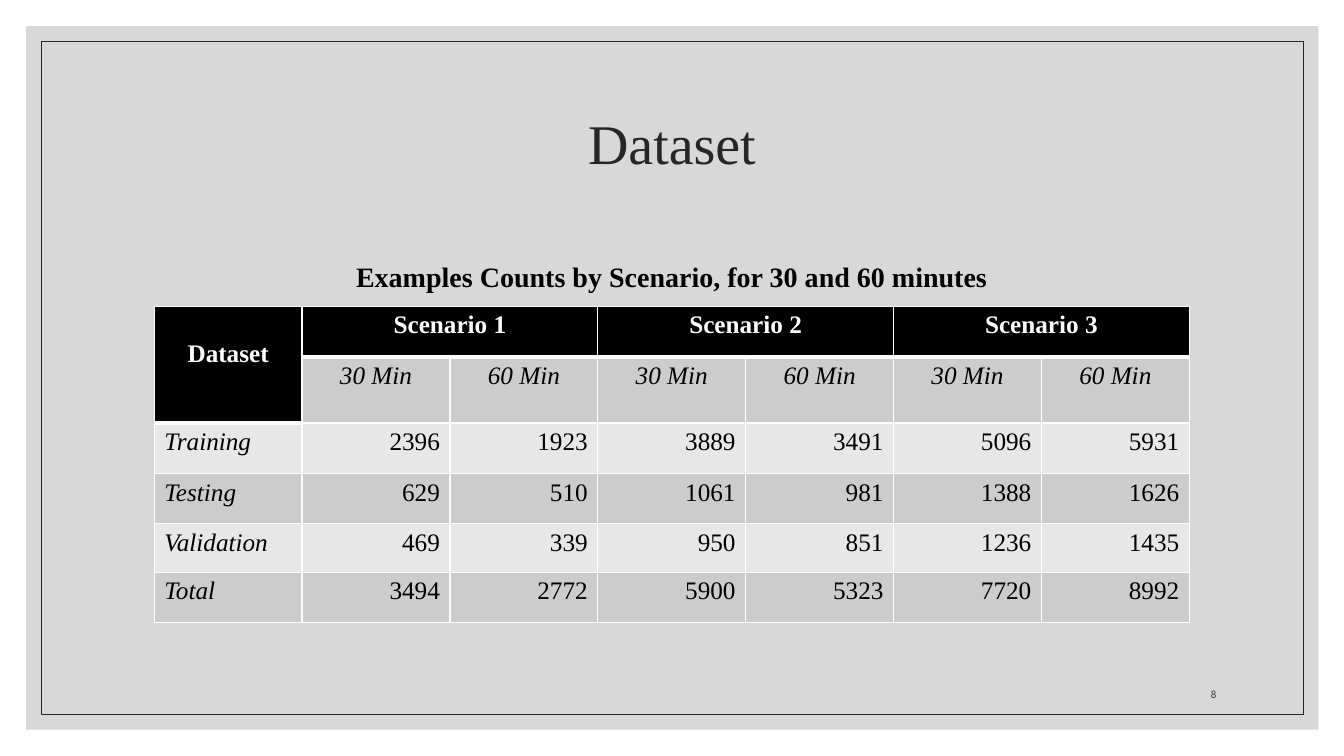
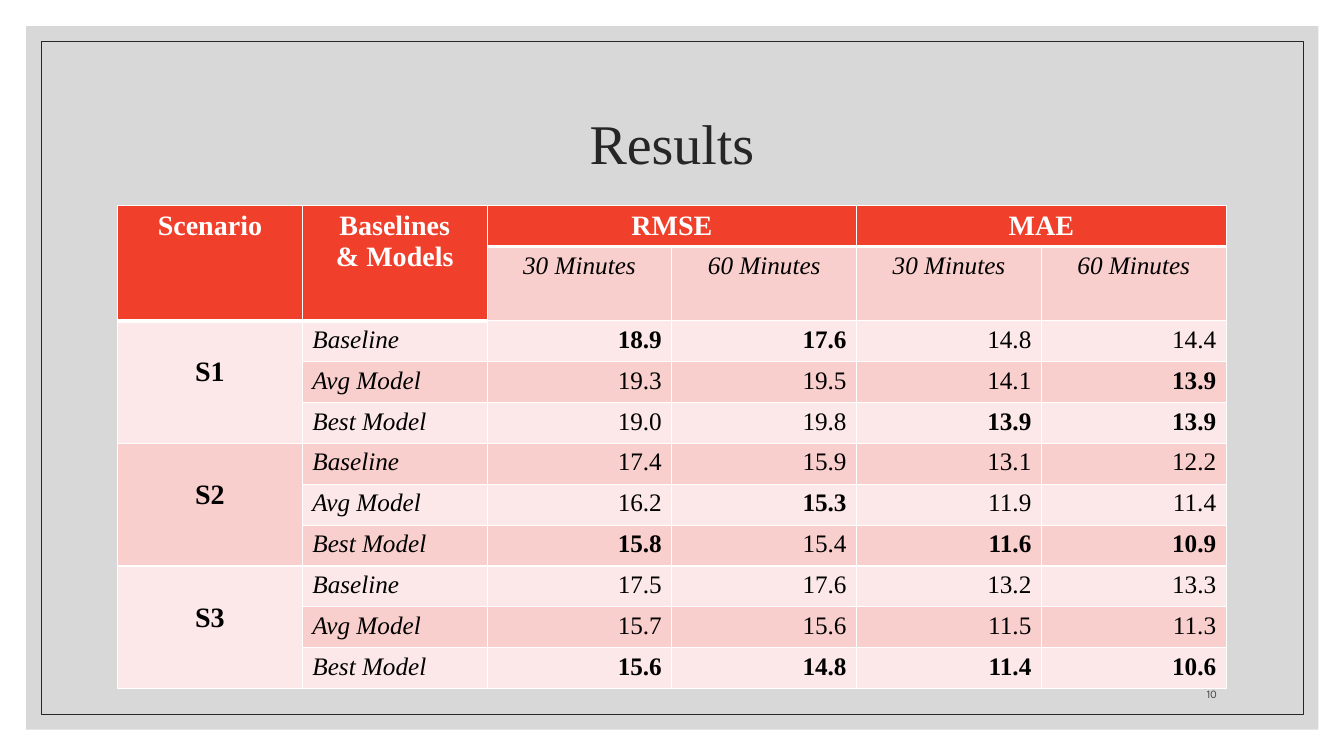
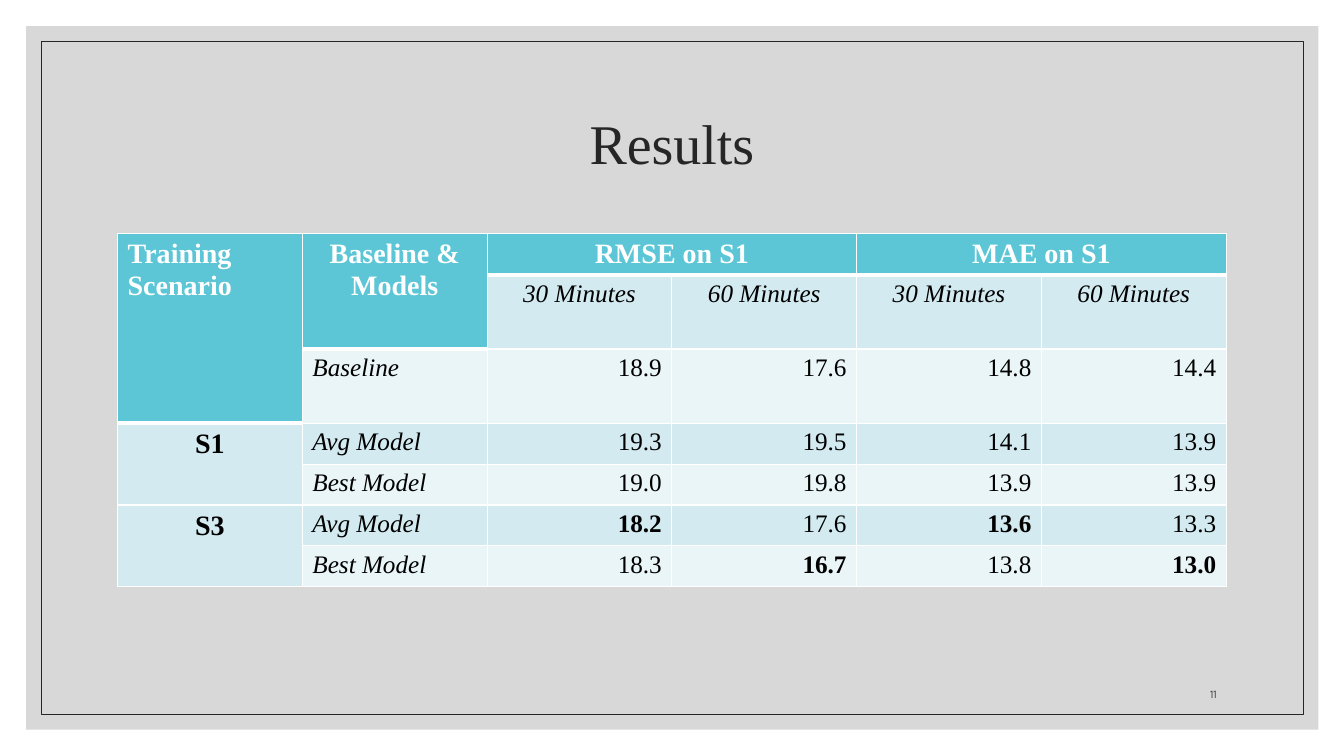
"""Build three slides of dataset and result tables, where None extends a cell and * marks a best score."""
from lxml.etree import SubElement
from pptx import Presentation
from pptx.dml.color import RGBColor
from pptx.enum.shapes import MSO_SHAPE as Preset
from pptx.enum.text import MSO_ANCHOR as Anchor, PP_ALIGN as Align
from pptx.oxml.ns import qn
from pptx.util import Pt

SERIF, NUMBER_FONT = "Times New Roman", "League Spartan"
WHITE = RGBColor(0xFF, 0xFF, 0xFF)
BLACK = RGBColor(0x00, 0x00, 0x00)
PANEL = RGBColor(0xBF, 0xBF, 0xBF)
INK = RGBColor(0x26, 0x26, 0x26)
NUMBER_INK = RGBColor(0x40, 0x40, 0x40)
GRAYS = BLACK, RGBColor(0xE7, 0xE7, 0xE7), RGBColor(0xCC, 0xCC, 0xCC)
REDS = (RGBColor(0xF0, 0x3F, 0x2B), RGBColor(0xFC, 0xE8, 0xE8),
        RGBColor(0xF9, 0xCF, 0xCD))
TEALS = (RGBColor(0x5C, 0xC6, 0xD6), RGBColor(0xEA, 0xF5, 0xF7),
         RGBColor(0xD2, 0xEA, 0xF0))

COUNTS = [
    ["Dataset", "Scenario 1", None, "Scenario 2", None, "Scenario 3", None],
    [None] + ["30 Min", "60 Min"] * 3,
    ["Training", "2396", "1923", "3889", "3491", "5096", "5931"],
    ["Testing", "629", "510", "1061", "981", "1388", "1626"],
    ["Validation", "469", "339", "950", "851", "1236", "1435"],
    ["Total", "3494", "2772", "5900", "5323", "7720", "8992"],
]
SCORES = [
    ["Scenario", "Baselines\n& Models", "RMSE", None, "MAE", None],
    [None, None] + ["30 Minutes", "60 Minutes"] * 2,
    ["S1", "Baseline", "18.9*", "17.6*", "14.8", "14.4"],
    [None, "Avg Model", "19.3", "19.5", "14.1", "13.9*"],
    [None, "Best Model", "19.0", "19.8", "13.9*", "13.9*"],
    ["S2", "Baseline", "17.4", "15.9", "13.1", "12.2"],
    [None, "Avg Model", "16.2", "15.3*", "11.9", "11.4"],
    [None, "Best Model", "15.8*", "15.4", "11.6*", "10.9*"],
    ["S3", "Baseline", "17.5", "17.6", "13.2", "13.3"],
    [None, "Avg Model", "15.7", "15.6", "11.5", "11.3"],
    [None, "Best Model", "15.6*", "14.8*", "11.4*", "10.6*"],
]
TRANSFER = [
    ["Training Scenario", "Baseline & Models", "RMSE on S1", None,
     "MAE on S1", None],
    [None, None] + ["30 Minutes", "60 Minutes"] * 2,
    [None, "Baseline", "18.9", "17.6", "14.8", "14.4"],
    ["S1", "Avg Model", "19.3", "19.5", "14.1", "13.9"],
    [None, "Best Model", "19.0", "19.8", "13.9", "13.9"],
    ["S3", "Avg Model", "18.2*", "17.6", "13.6*", "13.3"],
    [None, "Best Model", "18.3", "16.7*", "13.8", "13.0*"],
]
SLIDES = [
    dict(title="Dataset", number="8", rows=COUNTS, tints=GRAYS,
         box=(110.16, 218.88, 739.44), heights=[36, 36, 36, 36, 34.56, 36],
         head_size=18, lowered={"Dataset": 24.3},
         caption="Examples Counts by Scenario, for 30 and 60 minutes"),
    dict(title="Results", number="10", rows=SCORES, tints=REDS,
         box=(84, 146.88, 792), heights=[29.2] * 11, head_size=20,
         lowered=dict.fromkeys(["S1", "S2", "S3"], 25.8)),
    dict(title="Results", number="11", rows=TRANSFER, tints=TEALS,
         box=(84, 167.04, 792), heights=[29.2] * 7, head_size=20, lowered={}),
]
HEAD_MARGIN_BOTTOM = 1.4


def write(frame, text, size, color, align, font=SERIF, bold=False, italic=False):
    for i, line in enumerate(text.split("\n")):
        para = frame.add_paragraph() if i else frame.paragraphs[0]
        para.alignment = align
        run = para.add_run()
        run.text = line
        run.font.name, run.font.size = font, Pt(size)
        run.font.bold, run.font.italic = bold, italic
        run.font.color.rgb = color


def add_text(slide, box, text, size, color, align, anchor=Anchor.TOP, **style):
    frame = slide.shapes.add_textbox(*map(Pt, box)).text_frame
    frame.word_wrap = True
    frame.vertical_anchor = anchor
    write(frame, text, size, color, align, **style)
    return frame


def add_backdrop(slide):
    panel = slide.shapes.add_shape(Preset.RECTANGLE, Pt(18.72), Pt(18.72),
                                   Pt(923.04), Pt(502.56))
    panel.fill.solid()
    panel.fill.fore_color.rgb = PANEL
    tint = panel.fill._xPr.find(qn("a:solidFill"))[0]
    SubElement(tint, qn("a:alpha"), val="60000")
    panel.line.fill.background()
    outline = slide.shapes.add_shape(Preset.RECTANGLE, Pt(29.52), Pt(29.52),
                                     Pt(901.44), Pt(480.96))
    outline.fill.background()
    outline.line.color.rgb = INK
    outline.line.width = Pt(0.5)
    for shape in (panel, outline):
        shape.shadow.inherit = False


def set_borders(cell, widths):
    props = cell._tc.get_or_add_tcPr()
    for i, (side, width) in enumerate(widths.items()):
        edge = SubElement(props, qn(f"a:ln{side}"), w=str(Pt(width)))
        fill = SubElement(edge, qn("a:solidFill"))
        SubElement(fill, qn("a:srgbClr"), val=str(WHITE))
        props.insert(i, edge)


def span_end(rows, r, c):
    bottom, right = r, c
    while right + 1 < len(rows[r]) and rows[r][right + 1] is None:
        right += 1
    while bottom + 1 < len(rows) and rows[bottom + 1][c] is None:
        bottom += 1
    return bottom, right


def cell_style(text, r, c, grouped, head_size):
    if r == 0:
        align = Align.LEFT if text == "Training Scenario" else Align.CENTER
        return dict(size=head_size, color=WHITE, align=align, bold=True)
    if r == 1:
        return dict(size=18, color=BLACK, align=Align.CENTER, italic=True)
    if grouped and c == 0:
        return dict(size=20, color=BLACK, align=Align.CENTER, bold=True)
    if c == int(grouped):
        return dict(size=18, color=BLACK, align=Align.LEFT, italic=True)
    return dict(size=18, color=BLACK, align=Align.RIGHT, bold=text.endswith("*"))


def add_grid(slide, rows, tints, box, heights, head_size, lowered):
    left, top, width = box
    columns = len(rows[0])
    grid = slide.shapes.add_table(len(rows), columns, Pt(left), Pt(top),
                                  Pt(width), Pt(sum(heights))).table
    grid.first_row = grid.horz_banding = False
    for column in grid.columns:
        column.width = Pt(round(width / columns, 2))
    for row, height in zip(grid.rows, heights):
        row.height = Pt(height)
    grouped = rows[1][1] is None
    for r, row in enumerate(rows):
        for c, text in enumerate(row):
            if text is None:
                continue
            bottom, right = span_end(rows, r, c)
            cell = grid.cell(r, c)
            if (bottom, right) != (r, c):
                cell.merge(grid.cell(bottom, right))
            style = cell_style(text, r, c, grouped, head_size)
            write(cell.text_frame, text.rstrip("*"), **style)
            if text in lowered:
                cell.margin_top = Pt(lowered[text])
            if r == 0:
                cell.margin_bottom = Pt(HEAD_MARGIN_BOTTOM)
            edges = dict(L=1, R=1, T=1, B=3) if r == 0 else dict(L=1, R=1, B=1)
            for y in range(r, bottom + 1):
                for x in range(c, right + 1):
                    part = grid.cell(y, x)
                    part.fill.solid()
                    part.fill.fore_color.rgb = tints[1 + r % 2] if r else tints[0]
                    set_borders(part, edges)


deck = Presentation()
deck.slide_width, deck.slide_height = Pt(960), Pt(540)
for content in SLIDES:
    slide = deck.slides.add_slide(deck.slide_layouts[6])
    add_backdrop(slide)
    title = add_text(slide, (84, 50.4, 792, 108), content["title"], 40, INK,
                     Align.CENTER, Anchor.MIDDLE)
    title.paragraphs[0].line_spacing = 0.9
    add_grid(slide, *(content[key] for key in (
        "rows", "tints", "box", "heights", "head_size", "lowered")))
    if "caption" in content:
        add_text(slide, (110.16, 182.16, 739.44, 31.68), content["caption"], 20,
                 BLACK, Align.CENTER, bold=True)
    add_text(slide, (810, 475.2, 66.24, 28.8), content["number"], 8, NUMBER_INK,
             Align.RIGHT, Anchor.BOTTOM, font=NUMBER_FONT)
deck.save("out.pptx")
